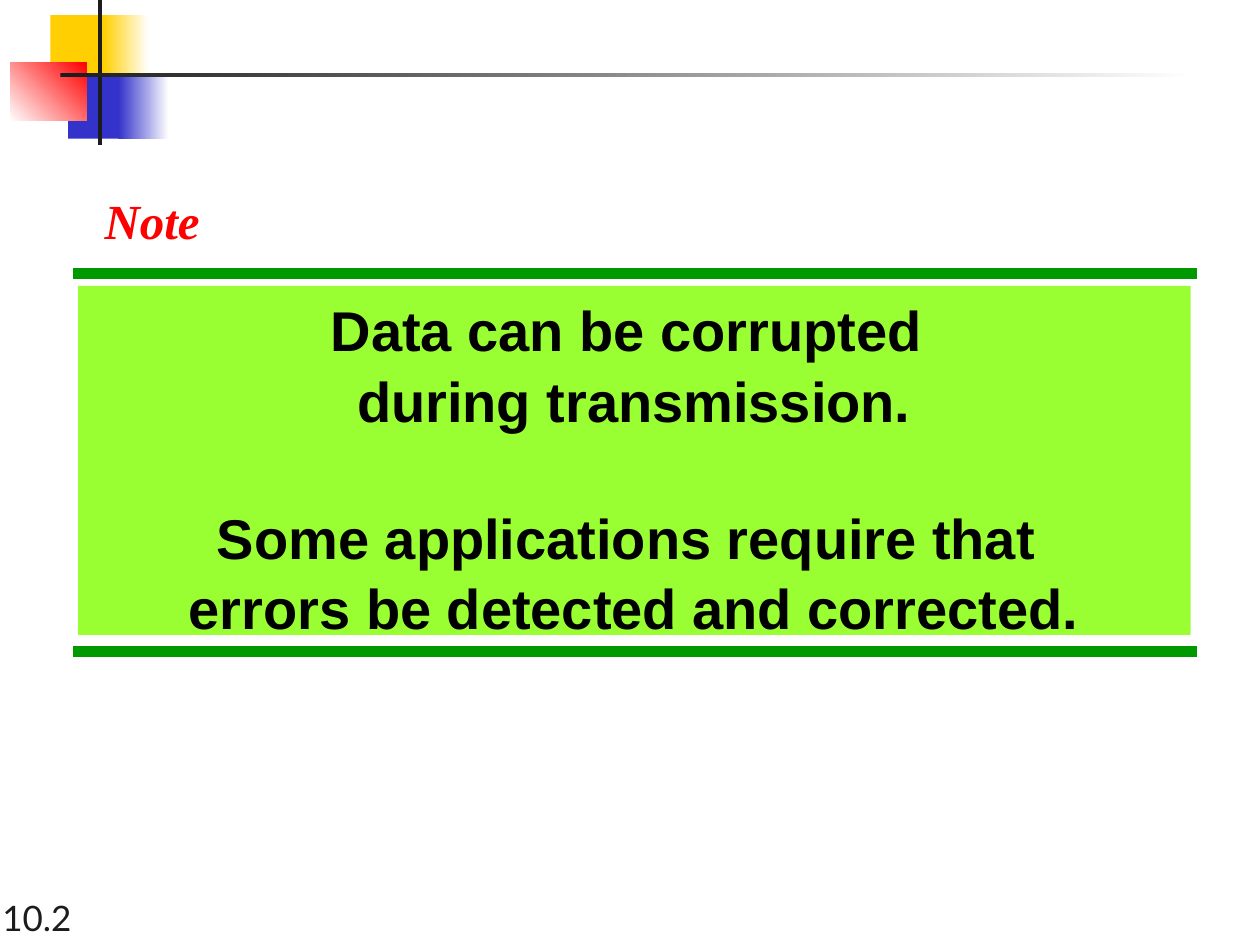
from dataclasses import dataclass

import pptx
import pptx.dml.color
import pptx.enum.shapes
import pptx.enum.text
import pptx.oxml.ns
import pptx.util
from lxml import etree
from pptx.util import Inches

ALIGN = pptx.enum.text.PP_ALIGN
ANCHOR = pptx.enum.text.MSO_ANCHOR


@dataclass(frozen=True)
class Theme:
    white: str = "FFFFFF"
    ink: str = "1C1C1C"
    black: str = "000000"
    yellow: str = "FFCF01"
    blue: str = "3333CC"
    red: str = "FF0000"
    rule: str = "009900"
    panel: str = "99FF33"
    number_size: int = 20
    note_size: int = 28
    body_size: int = 32
    rule_width: int = 6


T = Theme()


def rgb(code):
    return pptx.dml.color.RGBColor.from_string(code)


def set_attrs(target, values):
    for name, value in values.items():
        setattr(target, name, value)


def add_rect(s, box, *colors, angle=0):
    """Add a borderless rectangle: one colour is solid, two make a gradient."""
    sp = s.shapes.add_shape(pptx.enum.shapes.MSO_SHAPE.RECTANGLE, *map(Inches, box))
    sp.shadow.inherit = False
    sp.line.fill.background()
    if len(colors) == 1:
        sp.fill.solid()
        sp.fill.fore_color.rgb = rgb(colors[0])
    else:
        sp.fill.gradient()
        sp.fill.gradient_angle = angle
        for stop, color in zip(sp.fill.gradient_stops, colors):
            stop.color.rgb = rgb(color)
    return sp


def add_rule(s, y):
    line = s.shapes.add_connector(
        pptx.enum.shapes.MSO_CONNECTOR.STRAIGHT,
        Inches(0.58), Inches(y), Inches(9.5), Inches(y))
    line.line.width = pptx.util.Pt(T.rule_width)
    line.line.color.rgb = rgb(T.rule)
    etree.SubElement(line._element.spPr, pptx.oxml.ns.qn("a:effectLst"))


def write(sp, paragraphs, font, color, anchor=ANCHOR.TOP, align=ALIGN.LEFT,
          wrap=True, line_spacing=None, gap=0):
    """Fill a shape with paragraphs; gap is the space between them in points."""
    tf = sp.text_frame
    set_attrs(tf, {
        "word_wrap": wrap, "vertical_anchor": anchor,
        "auto_size": pptx.enum.text.MSO_AUTO_SIZE.NONE,
        "margin_left": Inches(0.1), "margin_right": Inches(0.1),
        "margin_top": Inches(0.05), "margin_bottom": Inches(0.05)})
    for i, text in enumerate(paragraphs):
        p = tf.add_paragraph() if i else tf.paragraphs[0]
        p.text = text
        set_attrs(p, {"alignment": align, "line_spacing": line_spacing,
                      "space_before": pptx.util.Pt(gap if i else 0)})
        for r in p.runs:
            set_attrs(r.font, font)
            r.font.color.rgb = rgb(color)


def add_ornament(s):
    add_rect(s, (0.4, 0.12, 0.48, 0.52), T.yellow)
    add_rect(s, (0.82, 0.12, 0.36, 0.52), T.yellow, T.white)
    add_rect(s, (0.54, 0.58, 0.46, 0.52), T.blue)
    add_rect(s, (0.94, 0.58, 0.4, 0.52), T.blue, T.white)
    add_rect(s, (0.08, 0.5, 0.61, 0.46), T.white, T.red, angle=45)
    add_rect(s, (0.78, 0, 0.03, 1.15), T.ink)
    add_rect(s, (0.48, 0.58, 9, 0.03), T.ink, T.white)


def add_title(s):
    sp = s.shapes.title
    set_attrs(sp, {"left": Inches(0.73), "top": Inches(1.46),
                   "width": Inches(0.96), "height": Inches(0.57)})
    write(sp, ["Note"],
          {"name": "Times New Roman", "size": pptx.util.Pt(T.note_size),
           "bold": True, "italic": True}, T.red, wrap=False)


def add_panel(s):
    for y in (2.17, 5.17):
        add_rule(s, y)
    sp = add_rect(s, (0.62, 2.27, 8.83, 2.77), T.panel)
    write(sp, ["Data can be corrupted \vduring transmission.",
               "Some applications require that \verrors be detected and corrected."],
          {"name": "Arial", "size": pptx.util.Pt(T.body_size), "bold": True},
          T.black, align=ALIGN.CENTER, line_spacing=1.05, gap=38)


def add_page_number(s):
    sp = s.shapes.add_textbox(*map(Inches, (-0.08, 7, 2.08, 0.5)))
    write(sp, ["10.2"], {"name": "Lato", "size": pptx.util.Pt(T.number_size)},
          T.ink, anchor=ANCHOR.BOTTOM)


def main():
    prs = pptx.Presentation()
    set_attrs(prs, {"slide_width": Inches(10), "slide_height": Inches(7.5)})
    s = prs.slides.add_slide(prs.slide_layouts.get_by_name("Title Only"))
    add_page_number(s)
    add_ornament(s)
    add_panel(s)
    add_title(s)
    prs.save("out.pptx")


if __name__ == "__main__":
    main()
